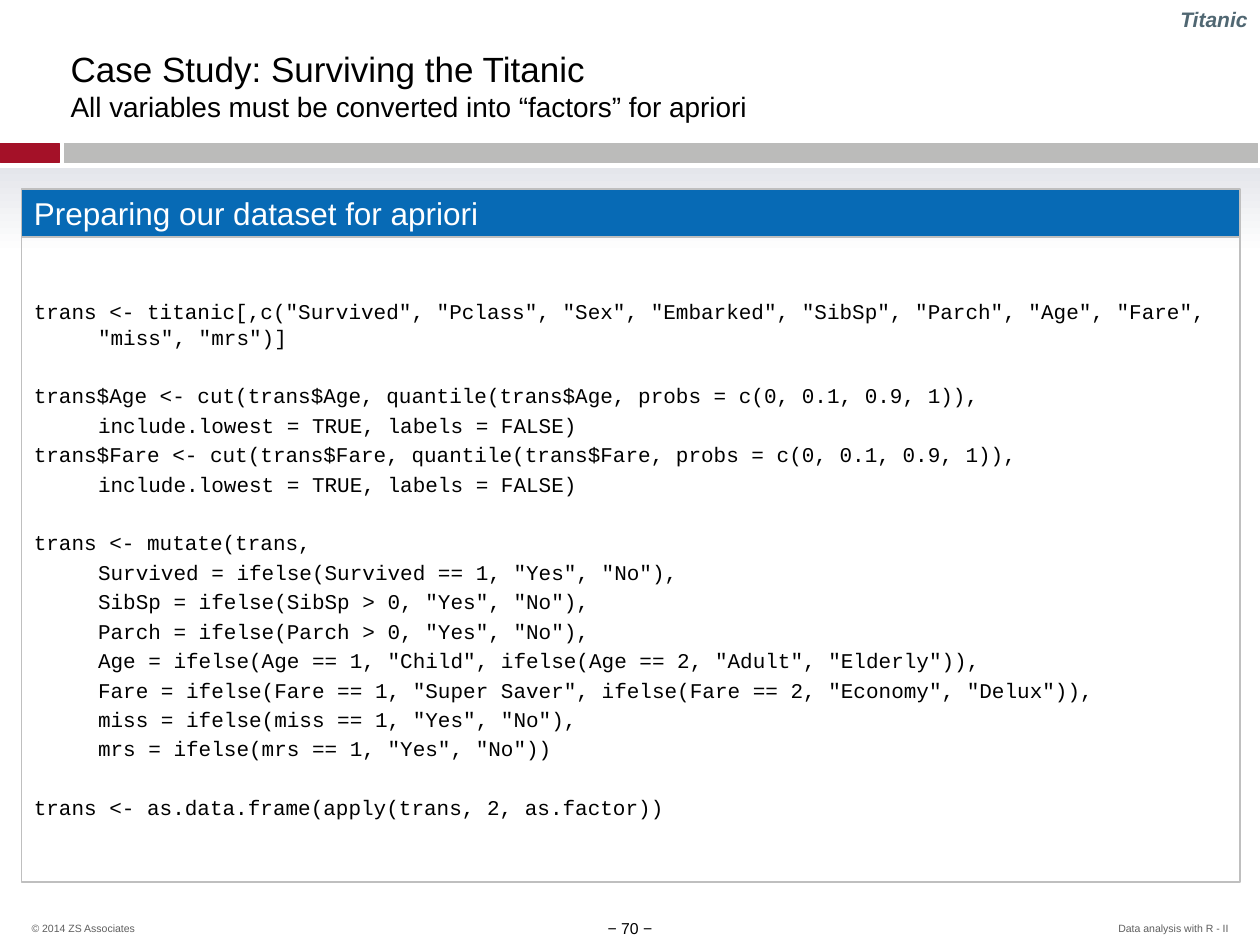
from pptx import Presentation
from pptx.dml.color import RGBColor
from pptx.enum.shapes import MSO_SHAPE as Shape
from pptx.enum.text import MSO_ANCHOR as Anchor, PP_ALIGN as Align
from pptx.util import Inches, Pt

RED, GRAY, BLUE, BORDER = "A41128", "BBBBBA", "076AB5", "BFBFBF"
BLACK, WHITE, SLATE, FOOTER_GRAY = "000000", "FFFFFF", "506772", "5F5F5F"

CODE_BLOCKS = [
    [
        (0, 'trans <- titanic[,c("Survived", "Pclass", "Sex", "Embarked", "SibSp", '
            '"Parch", "Age", "Fare", "miss", "mrs")]'),
    ],
    [
        (0, "trans$Age <- cut(trans$Age, quantile(trans$Age, probs = c(0, 0.1, 0.9, 1)),"),
        (1, "include.lowest = TRUE, labels = FALSE)"),
        (0, "trans$Fare <- cut(trans$Fare, quantile(trans$Fare, probs = c(0, 0.1, 0.9, 1)),"),
        (1, "include.lowest = TRUE, labels = FALSE)"),
    ],
    [
        (0, "trans <- mutate(trans,"),
        (1, 'Survived = ifelse(Survived == 1, "Yes", "No"),'),
        (1, 'SibSp = ifelse(SibSp > 0, "Yes", "No"),'),
        (1, 'Parch = ifelse(Parch > 0, "Yes", "No"),'),
        (1, 'Age = ifelse(Age == 1, "Child", ifelse(Age == 2, "Adult", "Elderly")),'),
        (1, 'Fare = ifelse(Fare == 1, "Super Saver", ifelse(Fare == 2, "Economy", "Delux")),'),
        (1, 'miss = ifelse(miss == 1, "Yes", "No"),'),
        (1, 'mrs = ifelse(mrs == 1, "Yes", "No"))'),
    ],
    [
        (0, "trans <- as.data.frame(apply(trans, 2, as.factor))"),
    ],
]


def rgb(color):
    return RGBColor.from_string(color)


def write(paragraph, text, size=12, color=BLACK, font="Arial", bold=False,
          italic=False, align=Align.LEFT, spacing=None):
    paragraph.alignment = align
    if spacing:
        paragraph.line_spacing = spacing
    run = paragraph.add_run()
    run.text = text
    run.font.size = Pt(size)
    run.font.name = font
    run.font.bold = bold
    run.font.italic = italic
    run.font.color.rgb = rgb(color)


def add_rect(slide, left, top, width, height, fill=None, line=None, line_width=1):
    rect = slide.shapes.add_shape(
        Shape.RECTANGLE, Inches(left), Inches(top), Inches(width), Inches(height))
    rect.shadow.inherit = False
    if fill:
        rect.fill.solid()
        rect.fill.fore_color.rgb = rgb(fill)
    else:
        rect.fill.background()
    if line:
        rect.line.color.rgb = rgb(line)
        rect.line.width = Pt(line_width)
    else:
        rect.line.fill.background()
    return rect


def add_label(slide, left, top, width, height, anchor=Anchor.BOTTOM, wrap=True,
              margins=(0.1, 0.05)):
    frame = slide.shapes.add_textbox(
        Inches(left), Inches(top), Inches(width), Inches(height)).text_frame
    frame.word_wrap = wrap
    frame.vertical_anchor = anchor
    frame.margin_left = frame.margin_right = Inches(margins[0])
    frame.margin_top = frame.margin_bottom = Inches(margins[1])
    return frame.paragraphs[0]


def add_band(slide, left, top, width):
    bar_height, red_width, gap = 0.15, 0.47, 0.04
    gray_left = left + red_width + gap
    add_rect(slide, left, top, red_width, bar_height, RED, RED, 0.25)
    add_rect(slide, gray_left, top, width - gray_left - 0.02, bar_height, GRAY, GRAY, 0.25)
    glow = add_rect(slide, left, top + bar_height + gap, width, 0.69)
    glow.fill.gradient()
    glow.fill.gradient_angle = 270
    for stop, color in zip(glow.fill.gradient_stops, ("E4E6EB", WHITE)):
        stop.color.rgb = rgb(color)


def add_footer(slide, left, top, width):
    note_width, note_height, page_width = 2.38, 0.14, 1
    notes = [
        (left, "© 2014 ZS Associates", Align.LEFT),
        (left + width - note_width, "Data analysis with R - II", Align.RIGHT),
    ]
    for note_left, text, align in notes:
        note = add_label(slide, note_left, top, note_width, note_height, margins=(0, 0))
        write(note, text, size=6, color=FOOTER_GRAY, align=align, spacing=0.8)
    page = add_label(slide, left + (width - page_width) / 2, top + 0.01, page_width, 0.15,
                     anchor=Anchor.TOP, margins=(0.1, 0))
    write(page, "− 70 −", size=9, align=Align.CENTER)


def add_title(slide, left, top, width, height):
    title = add_label(slide, left, top, width, height, Anchor.MIDDLE, margins=(0.09, 0.04))
    write(title, "Case Study: Surviving the Titanic", size=20)
    title.add_line_break()
    write(title, "All variables must be converted into “factors” for apriori", size=16)


def add_code_panel(slide, left, top, width, height):
    header_height, indent = 0.38, 0.51
    line_height, line_gap = 14.4, 2.4
    body = add_rect(slide, left, top + header_height, width, height - header_height,
                    line=BORDER)
    frame = body.text_frame
    frame.word_wrap = True
    frame.vertical_anchor = Anchor.MIDDLE
    for block_index, block in enumerate(CODE_BLOCKS):
        for line_index, (level, code) in enumerate(block):
            if block_index == line_index == 0:
                paragraph, before = frame.paragraphs[0], 0
            else:
                paragraph = frame.add_paragraph()
                before = line_gap if line_index else line_height + 2 * line_gap
            properties = paragraph._p.get_or_add_pPr()
            properties.set("marL", str(Inches(indent)))
            properties.set("indent", str(Inches(0 if level else -indent)))
            paragraph.space_before = Pt(before)
            write(paragraph, code, font="Courier New", spacing=Pt(line_height))

    header = add_rect(slide, left, top, width, header_height, BLUE, BORDER)
    header.text_frame.word_wrap = False
    header.text_frame.vertical_anchor = Anchor.MIDDLE
    write(header.text_frame.paragraphs[0], "Preparing our dataset for apriori",
          size=18, color=WHITE)


def add_topic_tag(slide, left, top, width, height):
    tag = add_label(slide, left, top, width, height)
    write(tag, "Titanic", color=SLATE, bold=True, italic=True, align=Align.RIGHT)


def main():
    deck = Presentation()
    deck.slide_width, deck.slide_height = Inches(10), Inches(7.5)
    slide = deck.slides.add_slide(deck.slide_layouts[6])
    add_band(slide, 0, 1.14, 10)
    add_footer(slide, 0.25, 7.28, 9.5)
    add_title(slide, 0.47, 0.34, 9.05, 0.68)
    add_code_panel(slide, 0.17, 1.5, 9.67, 5.5)
    add_topic_tag(slide, 7.75, 0, 2.25, 0.3)
    deck.save("out.pptx")


if __name__ == "__main__":
    main()
